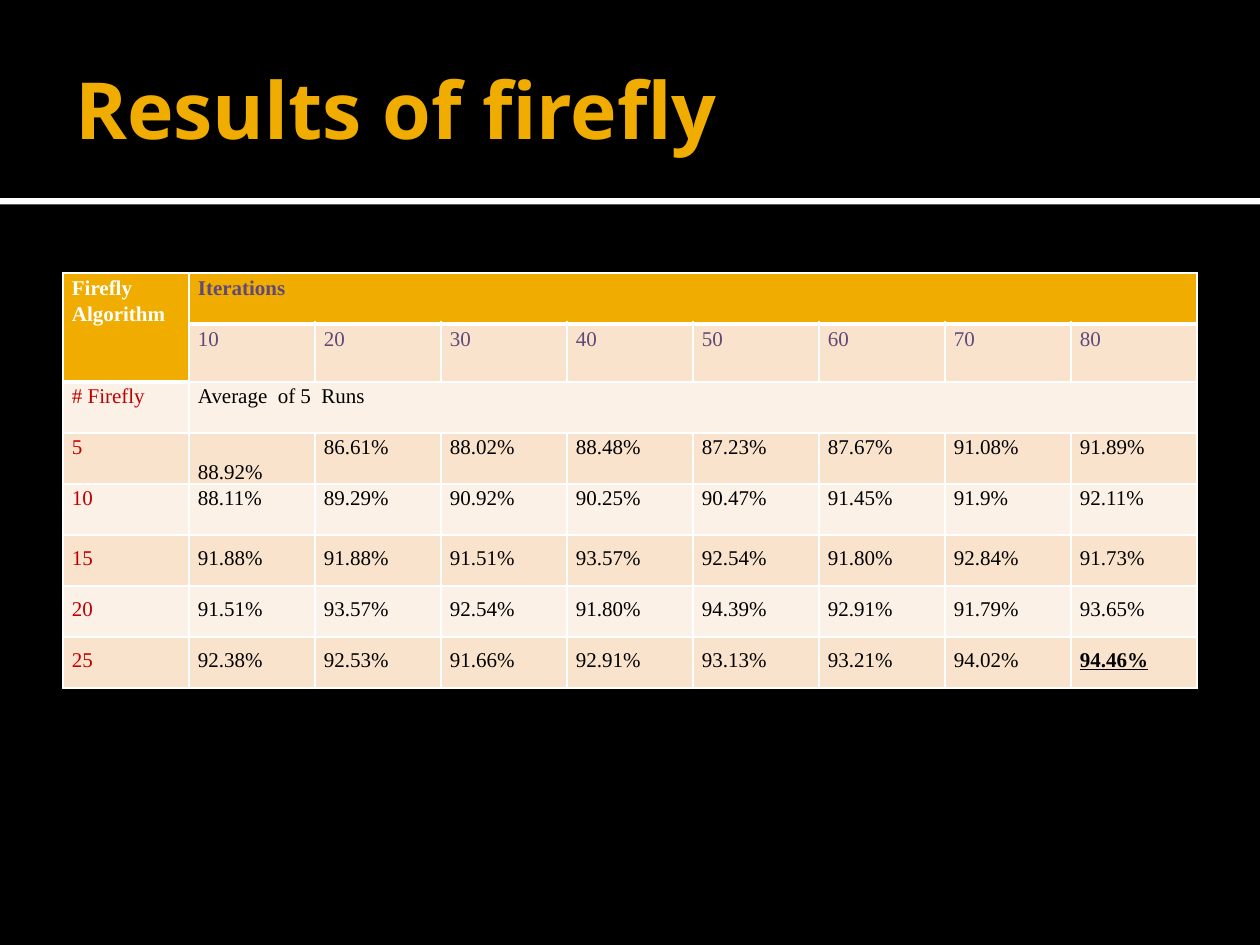
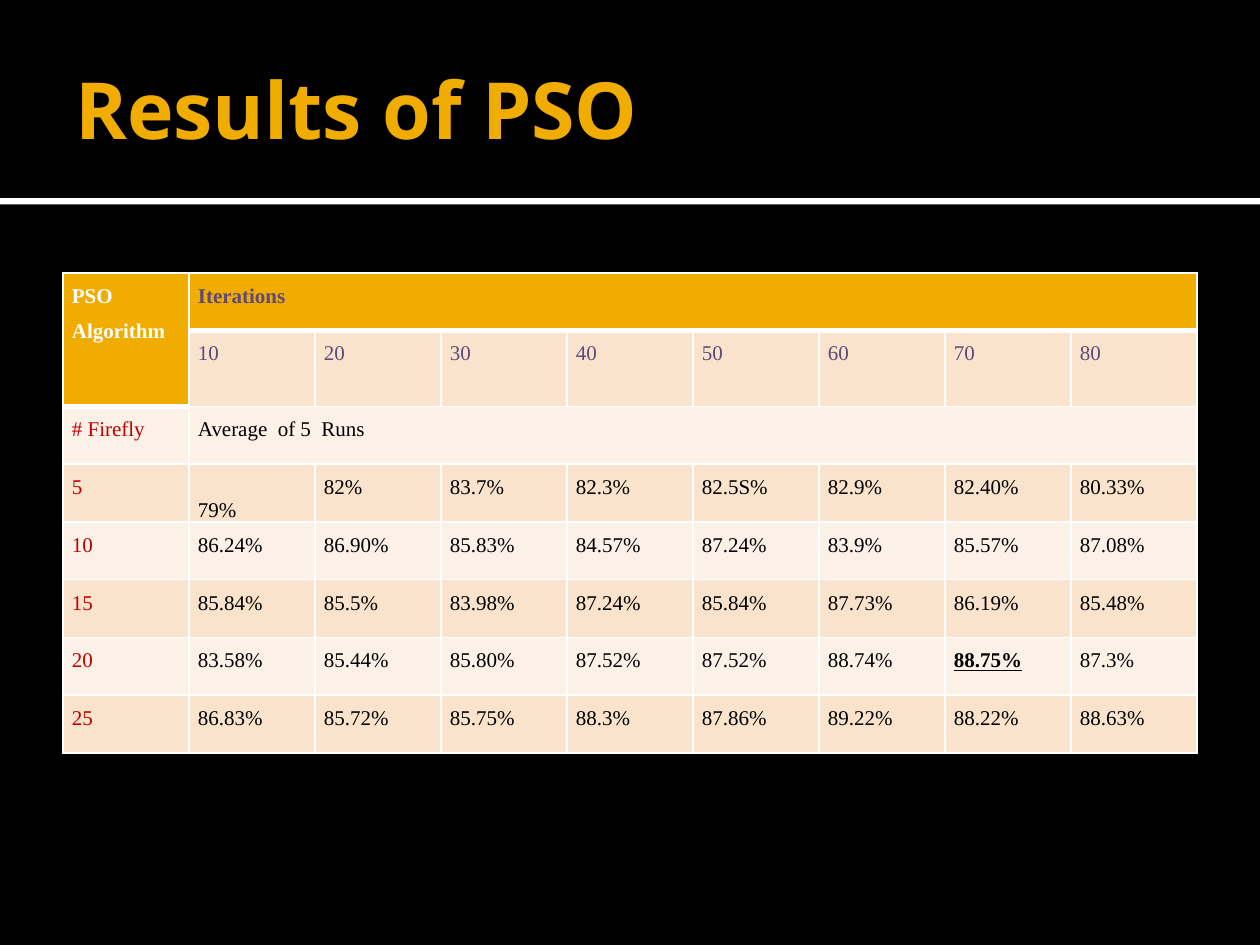
from dataclasses import dataclass

from lxml import etree
from pptx import Presentation
from pptx import util as u
from pptx.dml.color import RGBColor
from pptx.enum import shapes, text
from pptx.oxml import ns


@dataclass(frozen=True)
class Theme:
    black: str = "000000"
    white: str = "FFFFFF"
    gold: str = "F0AD00"
    purple: str = "5F497A"
    red: str = "C00000"
    bands: tuple = ("FCF1E7", "F9E3CC")
    title_font: str = "Open Sans"
    table_font: str = "Times New Roman"
    title_size: int = 45
    table_size: int = 12
    grid_line: int = 1
    header_line: int = 3


T = Theme()
ITERATIONS = [str(n) for n in range(10, 90, 10)]

FIREFLY = [
    ("5", "88.92% 86.61% 88.02% 88.48% 87.23% 87.67% 91.08% 91.89%"),
    ("10", "88.11% 89.29% 90.92% 90.25% 90.47% 91.45% 91.9% 92.11%"),
    ("15", "91.88% 91.88% 91.51% 93.57% 92.54% 91.80% 92.84% 91.73%"),
    ("20", "91.51% 93.57% 92.54% 91.80% 94.39% 92.91% 91.79% 93.65%"),
    ("25", "92.38% 92.53% 91.66% 92.91% 93.13% 93.21% 94.02% 94.46%"),
]
PSO = [
    ("5", "79% 82% 83.7% 82.3% 82.5S% 82.9% 82.40% 80.33%"),
    ("10", "86.24% 86.90% 85.83% 84.57% 87.24% 83.9% 85.57% 87.08%"),
    ("15", "85.84% 85.5% 83.98% 87.24% 85.84% 87.73% 86.19% 85.48%"),
    ("20", "83.58% 85.44% 85.80% 87.52% 87.52% 88.74% 88.75% 87.3%"),
    ("25", "86.83% 85.72% 85.75% 88.3% 87.86% 89.22% 88.22% 88.63%"),
]


def rgb(color):
    return RGBColor.from_string(color)


def add_run(p, words, font, size, color, bold=False, underline=False):
    r = p.add_run()
    r.text = words
    r.font.name = font
    r.font.size = u.Pt(size)
    r.font.color.rgb = rgb(color)
    r.font.bold = bold
    r.font.underline = underline


def add_band(s, left, top, width, height, color):
    sp = s.shapes.add_shape(shapes.MSO_SHAPE.RECTANGLE, left, top, width, height)
    sp.shadow.inherit = False
    sp.fill.solid()
    sp.fill.fore_color.rgb = rgb(color)
    sp.line.fill.background()


def add_header(s, left, top, width, height, title):
    rule = u.Cm(0.13)
    add_band(s, left, top + height, width, rule, T.white)
    add_band(s, left, top, width, height, T.black)
    margin = u.Cm(1.27)
    sp = s.shapes.add_textbox(left + margin, top + u.Cm(0.43),
                              width - 2 * margin, u.Cm(3.48))
    tf = sp.text_frame
    tf.word_wrap = True
    tf.vertical_anchor = text.MSO_ANCHOR.MIDDLE
    tf.margin_left = u.Cm(0.25)
    tf.margin_right = tf.margin_top = tf.margin_bottom = u.Cm(0.13)
    add_run(tf.paragraphs[0], title, T.title_font, T.title_size, T.gold, bold=True)


def set_borders(cell, top, bottom):
    tc_pr = cell._tc.get_or_add_tcPr()
    widths = {"L": T.grid_line, "R": T.grid_line, "T": top, "B": bottom}
    for side, width in widths.items():
        ln = etree.SubElement(tc_pr, ns.qn(f"a:ln{side}"), w=str(u.Pt(width)))
        fill = etree.SubElement(ln, ns.qn("a:solidFill"))
        etree.SubElement(fill, ns.qn("a:srgbClr"), val=T.white)


def fill_cell(cell, lines, color, spacing, bold=False, underline=False):
    tf = cell.text_frame
    for i, line in enumerate(lines):
        p = tf.add_paragraph() if i else tf.paragraphs[0]
        p.alignment = text.PP_ALIGN.JUSTIFY
        p.line_spacing = spacing
        p.space_after = u.Pt(10 if i == len(lines) - 1 else 0)
        add_run(p, line, T.table_font, T.table_size, color, bold, underline)


def style_grid(table):
    for y, row in enumerate(table.rows):
        for x, cell in enumerate(row.cells):
            header = y == 0 or (y == 1 and x == 0)
            below_header = y == (2 if x == 0 else 1)
            set_borders(cell,
                        T.header_line if below_header else T.grid_line,
                        T.header_line if header else T.grid_line)
            cell.fill.solid()
            cell.fill.fore_color.rgb = rgb(T.gold if header else T.bands[y % 2])
            cell.margin_left = cell.margin_right = u.Cm(0.18)
            cell.margin_top = cell.margin_bottom = 0


def add_results(s, left, top, width, height, algorithm, results, best, spacings):
    n_rows, n_cols = len(results) + 3, len(ITERATIONS) + 1
    table = s.shapes.add_table(n_rows, n_cols, left, top, width, height).table
    table.first_row = table.horz_banding = False
    for column in table.columns:
        column.width = width // n_cols
    for row in table.rows:
        row.height = height // n_rows
    style_grid(table)
    table.cell(0, 0).merge(table.cell(1, 0))
    table.cell(0, 1).merge(table.cell(0, n_cols - 1))
    table.cell(2, 1).merge(table.cell(2, n_cols - 1))

    fill_cell(table.cell(0, 0), [algorithm, "Algorithm"], T.white, spacings[0], bold=True)
    fill_cell(table.cell(0, 1), ["Iterations"], T.purple, spacings[0], bold=True)
    for x, count in enumerate(ITERATIONS, 1):
        fill_cell(table.cell(1, x), [count], T.purple, spacings[1])
    fill_cell(table.cell(2, 0), ["# Firefly"], T.red, spacings[2])
    fill_cell(table.cell(2, 1), ["Average  of 5  Runs"], T.black, spacings[2])
    for y, (fireflies, rates) in enumerate(results, 3):
        fill_cell(table.cell(y, 0), [fireflies], T.red, spacings[y])
        for x, rate in enumerate(rates.split(), 1):
            is_best = rate == best
            fill_cell(table.cell(y, x), [rate], T.black, spacings[y], is_best, is_best)
    table.cell(3, 1).vertical_anchor = text.MSO_ANCHOR.BOTTOM


def add_results_slide(prs, title, height, *content):
    s = prs.slides.add_slide(prs.slide_layouts[6])
    s.background.fill.solid()
    s.background.fill.fore_color.rgb = rgb(T.black)
    add_header(s, 0, 0, prs.slide_width, u.Cm(3.99), title)
    margin = u.Cm(1.27)
    add_results(s, margin, u.Cm(5.5), prs.slide_width - 2 * margin, height, *content)


prs = Presentation()
prs.slide_width, prs.slide_height = u.Cm(25.4), u.Cm(19.05)
add_results_slide(prs, "Results of firefly", u.Cm(8.23),
                  "Firefly", FIREFLY, "94.46%", [1.15] * 5 + [1.5] * 3)
add_results_slide(prs, "Results of PSO", u.Cm(9.32),
                  "PSO", PSO, "88.75%", [1.5] * 8)
prs.save("out.pptx")
